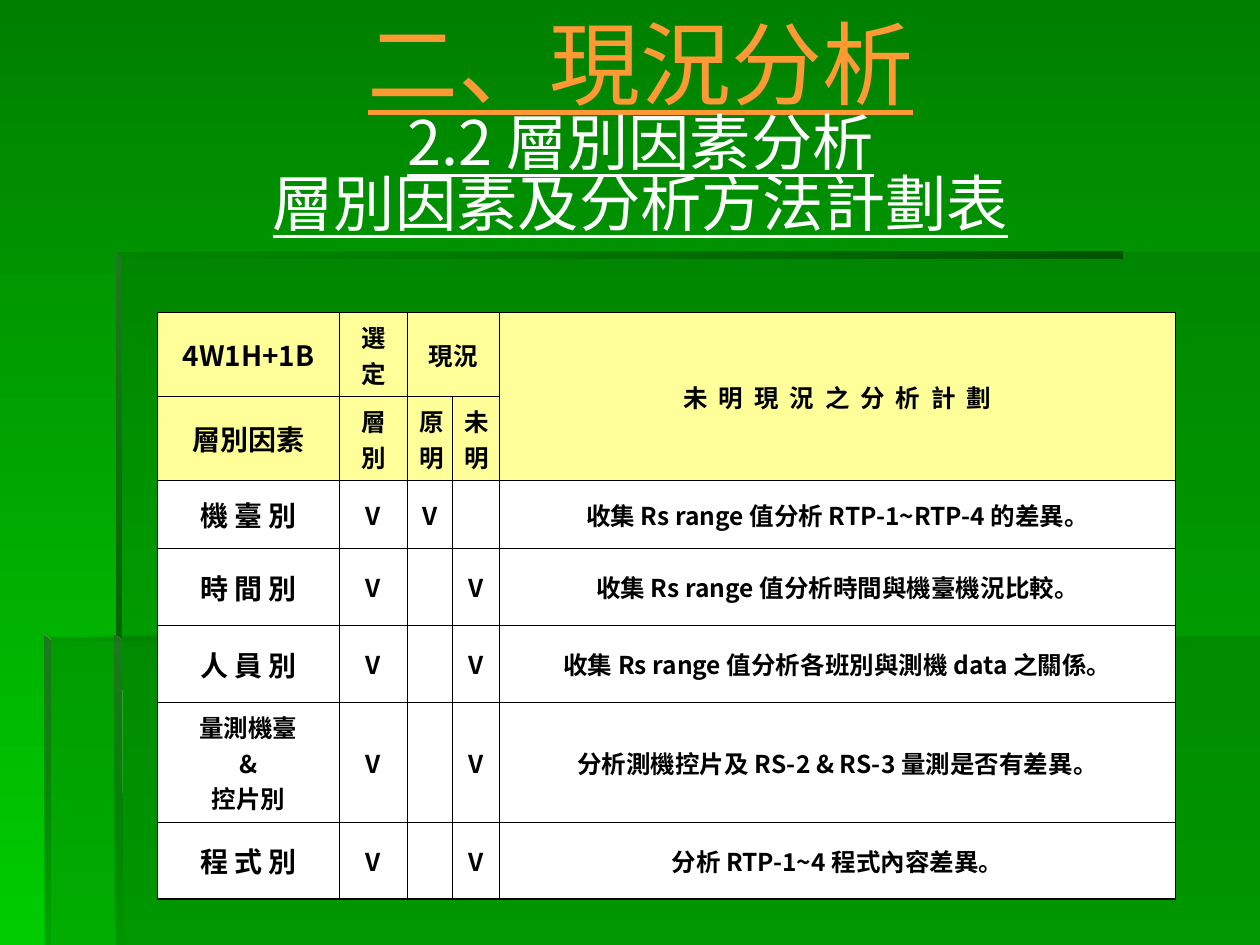
import copy

import lxml.etree
import pptx
import pptx.dml.color
import pptx.enum.text
import pptx.oxml.ns
import pptx.util

Pt = pptx.util.Pt
qn = pptx.oxml.ns.qn
CJK = "Noto Sans CJK TC"


def color(code):
    return pptx.dml.color.RGBColor.from_string(code)


def add(parent, tag, **attrs):
    return lxml.etree.SubElement(parent, qn(tag), attrs)


def write(par, text, size=14, ink="000000", font=CJK, bold=False,
          under=False, track=0, wrap=False):
    """Add a run to a paragraph; track is letter spacing, wrap ends the line."""
    run = par.add_run()
    run.text = text
    run.font.size = Pt(size)
    run.font.bold = bold
    run.font.underline = under
    run.font.color.rgb = color(ink)
    run.font.name = font
    props = run.font._element
    add(props, "a:ea", typeface=CJK)
    if track:
        props.set("spc", str(int(track * 100)))
    if wrap:
        par.add_line_break()
        par._p[-1].append(copy.deepcopy(props))


def paint(fill, stops, angle=0):
    """Fill with one or two (colour, opacity percent) stops, angle clockwise."""
    if len(stops) == 1:
        fill.solid()
        fill.fore_color.rgb = color(stops[0][0])
    else:
        fill.gradient()
        fill.gradient_angle = (360 - angle) % 360
        for stop, (code, _) in zip(fill.gradient_stops, stops):
            stop.color.rgb = color(code)
    tints = list(fill._xPr.iter(qn("a:srgbClr")))
    for tint, (_, alpha) in zip(tints, stops):
        if alpha < 100:
            add(tint, "a:alpha", val=str(alpha * 1000))


class Deck:
    thin, thick, hair = 0.45, 0.96, 0.34
    head, body = "FFFF99", "FFFFFF"

    def __init__(self, wide, high):
        self.show = pptx.Presentation()
        self.show.slide_width, self.show.slide_height = Pt(wide), Pt(high)
        self.slide = self.show.slides.add_slide(self.show.slide_layouts[5])

    def ground(self, stops, angle):
        paint(self.slide.background.fill, stops, angle)

    def panel(self, points, stops, angle=0):
        spots = [(Pt(x), Pt(y)) for x, y in points]
        pen = self.slide.shapes.build_freeform(*spots[0], scale=1)
        pen.add_line_segments(spots[1:], close=True)
        shape = pen.convert_to_shape()
        shape.shadow.inherit = False
        paint(shape.fill, stops, angle)
        shape.line.fill.background()

    def title(self, box, lines):
        title = self.slide.shapes.title
        title.element.getparent().append(title.element)  # in front of panels
        title.left, title.top, title.width, title.height = map(Pt, box)
        frame = title.text_frame
        frame.word_wrap = True
        frame.auto_size = pptx.enum.text.MSO_AUTO_SIZE.NONE
        frame.vertical_anchor = pptx.enum.text.MSO_ANCHOR.MIDDLE
        par = frame.paragraphs[0]
        par.alignment = pptx.enum.text.PP_ALIGN.CENTER
        par.line_spacing = 0.83
        for line in lines:
            write(par, under=True, **line)

    def edges(self, cell, row, col, last):
        """Thick round the table, hairline between the two left heads."""
        mid = self.hair if col < 2 else self.thin
        top = {0: self.thick, 1: mid}.get(row, self.thin)
        low = {0: mid, last[0]: self.thick}.get(row, self.thin)
        left = self.thin if col else self.thick
        right = self.thick if col == last[1] else self.thin
        props = cell._tc.get_or_add_tcPr()
        for side, width in zip("LRTB", (left, right, top, low)):
            line = add(props, f"a:ln{side}", w=str(Pt(width)))
            add(add(line, "a:solidFill"), "a:srgbClr", val="000000")

    def table(self, left, top, cols, rows, data, spans):
        frame = self.slide.shapes.add_table(
            len(rows), len(cols), Pt(left), Pt(top), Pt(sum(cols)), Pt(sum(rows)))
        table = frame.table
        table.first_row = table.horz_banding = False
        for col, width in zip(table.columns, cols):
            col.width = Pt(width)
        for row, height in zip(table.rows, rows):
            row.height = Pt(height)
        for start, end in spans:
            table.cell(*start).merge(table.cell(*end))
        last = len(rows) - 1, len(cols) - 1
        for r, texts in enumerate(data):
            for c, text in enumerate(texts):
                cell = table.cell(r, c)
                self.edges(cell, r, c, last)
                paint(cell.fill, [(self.head if r < 2 else self.body, 100)])
                cell.vertical_anchor = pptx.enum.text.MSO_ANCHOR.MIDDLE
                if text:
                    self.fill(cell.text_frame, text, r, c)

    def fill(self, frame, text, row, col):
        lines = text.split("\n")
        big = col == 0 and len(lines) == 1
        for i, line in enumerate(lines):
            par = frame.add_paragraph() if i else frame.paragraphs[0]
            par.alignment = pptx.enum.text.PP_ALIGN.CENTER
            write(par, line, size=16 if big else 14, bold=True,
                  track=1.5 if (row, col) == (0, 4) else 0)


def main():
    deck = Deck(720, 540)
    deck.ground([("008000", 100), ("00CC00", 100)], 90)

    veil = [("006600", 30)]
    deck.panel([(66.2, 363.6), (66.2, 540), (720, 540), (720, 363.6)], veil)
    deck.panel([(67.7, 364.3), (25.9, 364.3), (25.9, 540), (720, 540),
                (720, 144), (67.7, 144)], veil)
    shade = [("006600", 0), ("005400", 100)]
    light = ("1F791F", 100)
    deck.panel([(66.2, 144), (66.2, 147.6), (641.5, 147.6), (641.5, 144)], shade)
    deck.panel([(66.2, 144), (66.2, 367.2), (69.8, 367.2), (69.1, 146.9)],
               [light, ("006600", 100)], 90)
    deck.panel([(65.5, 540), (69.8, 540), (69.1, 365.8), (65.5, 362.9)],
               [light, ("006600", 0)], 90)
    deck.panel([(25.2, 362.9), (25.2, 366.5), (385.2, 366.5), (385.2, 362.9)], shade)
    deck.panel([(25.2, 362.9), (25.2, 540), (28.8, 540), (28.8, 366.5)],
               [light, ("006600", 10)], 90)

    deck.title((36, 19.4, 660.2, 113), [
        dict(text="二、現況分析", size=52, ink="FF9933", font="Montserrat", wrap=True),
        dict(text="2.2 層別因素分析", size=35, ink="FFFFFF", wrap=True),
        dict(text="層別因素及分析方法計劃表", size=35, ink="FFFFFF", font="Montserrat"),
    ])

    deck.table(
        90, 178.6, [103.9, 38.9, 25.7, 27, 386.3],
        [41, 41, 38.9, 43.9, 43.9, 57.6, 43.9],
        [
            ["4W1H+1B", "選定", "現況", "", "未 明 現 況 之 分 析 計 劃"],
            ["層別因素", "層別", "原明", "未\n明", ""],
            ["機 臺 別", "V", "V", "", "收集 Rs range 值分析 RTP-1~RTP-4 的差異。"],
            ["時 間 別", "V", "", "V", "收集 Rs range 值分析時間與機臺機況比較。"],
            ["人 員 別", "V", "", "V", "收集 Rs range 值分析各班別與測機 data 之關係。"],
            ["量測機臺\n&\n控片別", "V", "", "V",
             "分析測機控片及 RS-2 & RS-3 量測是否有差異。"],
            ["程 式 別", "V", "", "V", "分析 RTP-1~4 程式內容差異。"],
        ],
        [((0, 2), (0, 3)), ((0, 4), (1, 4))])
    deck.show.save("out.pptx")


if __name__ == "__main__":
    main()
